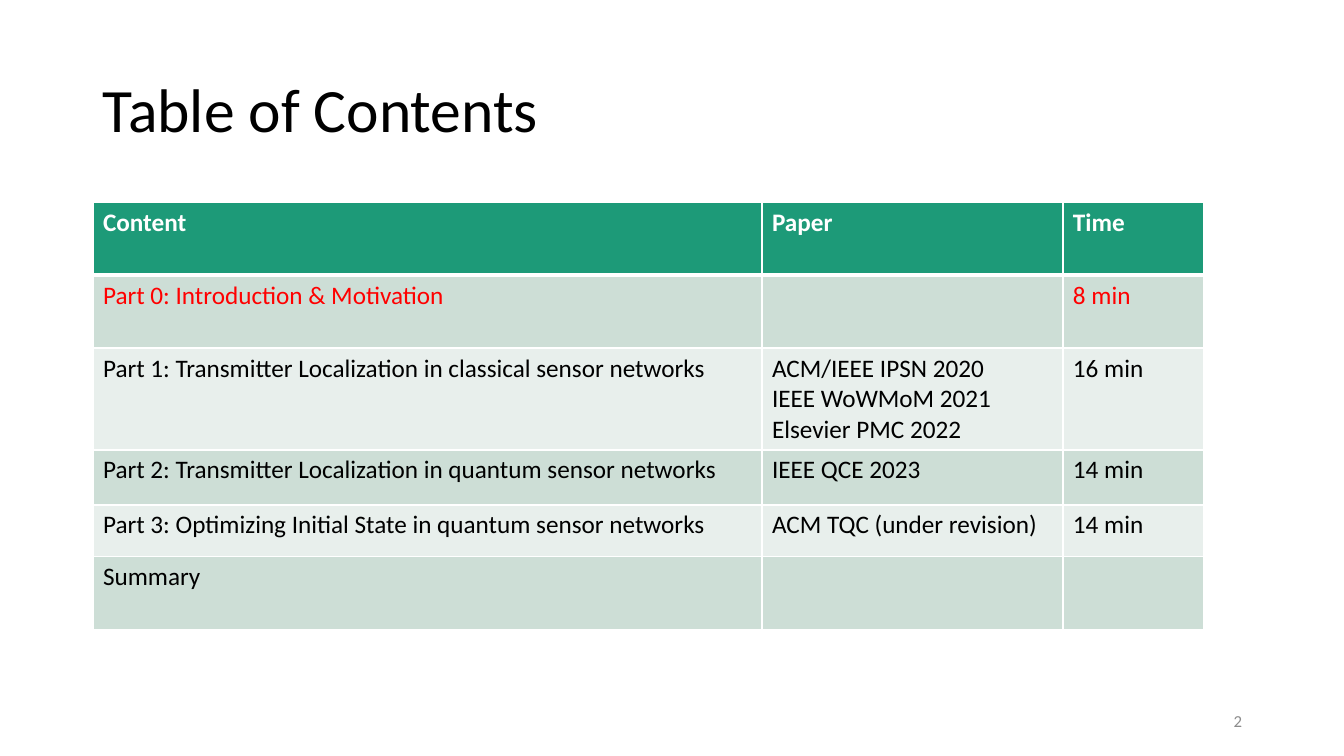
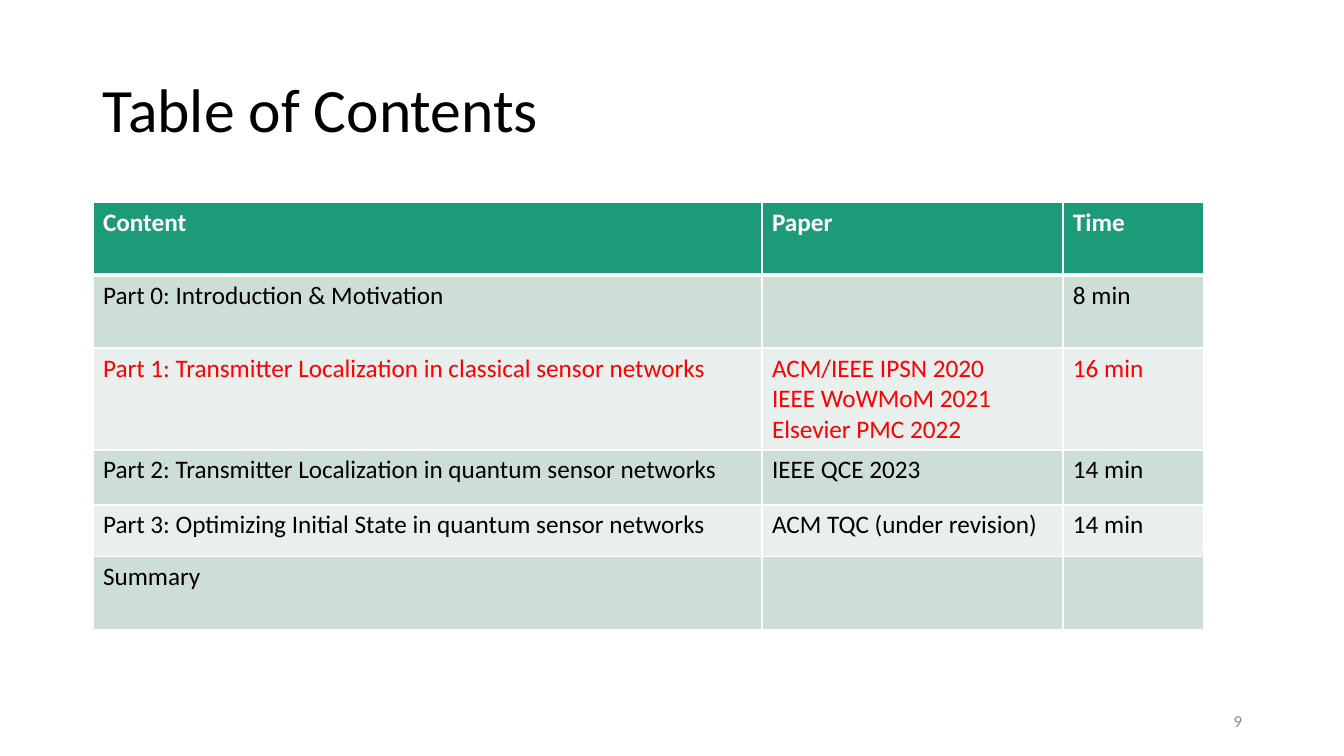
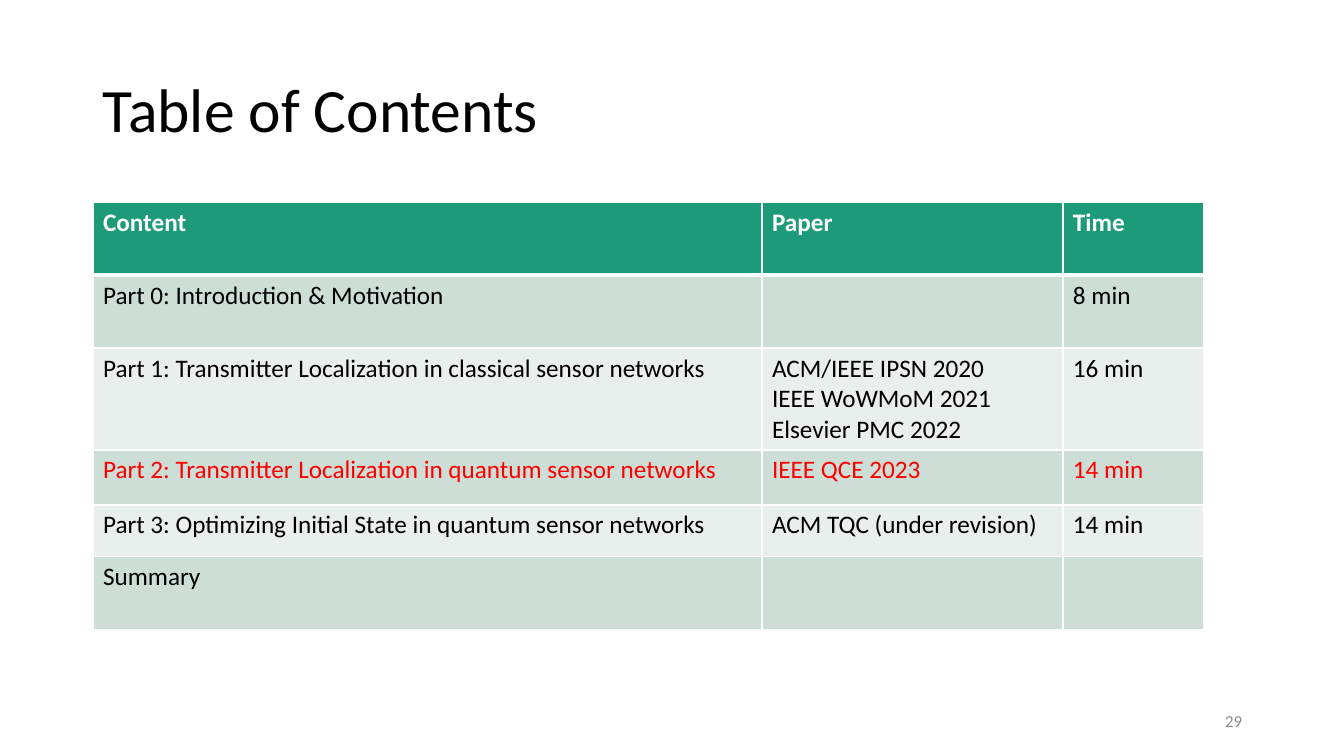
"""Build three contents slides, each with the current part in red."""
from lxml.etree import SubElement as Sub
from pptx import Presentation as Deck
from pptx.dml.color import RGBColor as RGB
from pptx.enum.text import MSO_ANCHOR as Anchor, PP_ALIGN as Align
from pptx.oxml.ns import qn
from pptx.util import Emu, Pt

SCALE = 914400 / 100.8
FONT = "Calibri"
BLACK, WHITE, RED, GREY = "000000", "FFFFFF", "FF0000", "8C8C8C"
GREEN, DARK, LIGHT = "1D9A78", "CDDED6", "E8EFEC"

COLS = [669, 301, 141]
TALL = [73, 73, 102, 55, 52, 73]
ROWS = [
    ["Content", "Paper", "Time"],
    ["Part 0: Introduction & Motivation", "", "8 min"],
    ["Part 1: Transmitter Localization in classical sensor networks",
     "ACM/IEEE IPSN 2020\nIEEE WoWMoM 2021 Elsevier PMC 2022", "16 min"],
    ["Part 2: Transmitter Localization in quantum sensor networks",
     "IEEE QCE 2023", "14 min"],
    ["Part 3: Optimizing Initial State in quantum sensor networks",
     "ACM TQC (under revision)", "14 min"],
    ["Summary", "", ""],
]
SLIDES = [("2", 1), ("9", 2), ("29", 3)]
LABELS = [
    ((93, 40, 1159, 146), 44, BLACK, Align.LEFT, 0.9),
    ((950, 701, 302, 40), 12, GREY, Align.RIGHT, 1.0),
]


def px(num):
    return Emu(round(num * SCALE))


def write(frame, text, size, color, bold=False):
    for n, line in enumerate(text.split("\n")):
        para = frame.add_paragraph() if n else frame.paragraphs[0]
        if not line:
            para.font.size = Pt(size)
            continue
        run = para.add_run()
        run.text = line
        font = run.font
        font.name, font.size, font.bold = FONT, Pt(size), bold
        font.color.rgb = RGB.from_string(color)


deck = Deck()
deck.slide_width, deck.slide_height = px(1344), px(756)

for page, now in SLIDES:
    slide = deck.slides.add_slide(deck.slide_layouts[6])

    for text, (place, size, color, align, space) in zip(
            ["Table of Contents", page], LABELS):
        frame = slide.shapes.add_textbox(*map(px, place)).text_frame
        frame.word_wrap = True
        frame.vertical_anchor = Anchor.MIDDLE
        write(frame, text, size, color)
        frame.paragraphs[0].alignment = align
        frame.paragraphs[0].line_spacing = space

    table = slide.shapes.add_table(
        len(ROWS), len(COLS), px(93), px(202),
        px(sum(COLS)), px(sum(TALL))).table
    for col, wide in zip(table.columns, COLS):
        col.width = px(wide)
    for r, (row, tall) in enumerate(zip(ROWS, TALL)):
        table.rows[r].height = px(tall)
        head = r == 0
        fill = GREEN if head else DARK if r % 2 else LIGHT
        color = WHITE if head else RED if r == now else BLACK
        for c, text in enumerate(row):
            cell = table.cell(r, c)
            write(cell.text_frame, text, 18, color, head)
            props = cell._tc.get_or_add_tcPr()
            for side in "LRTB":
                thick = (r, side) in [(0, "B"), (1, "T")]
                line = Sub(props, qn("a:ln" + side), w=str(Pt(3 if thick else 1)))
                Sub(Sub(line, qn("a:solidFill")), qn("a:srgbClr"), val=WHITE)
            cell.fill.solid()
            cell.fill.fore_color.rgb = RGB.from_string(fill)

deck.save("out.pptx")
